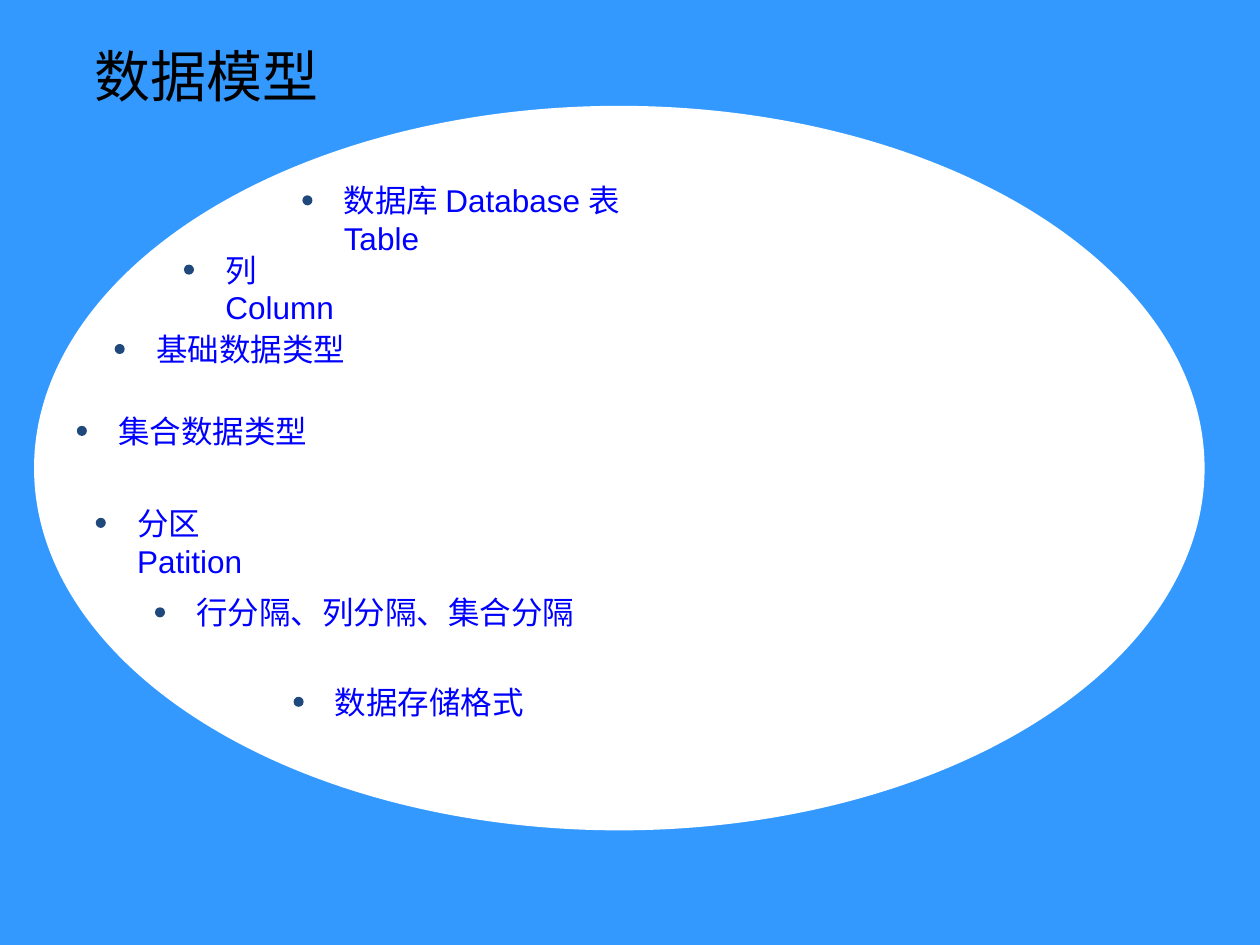
from pptx import Presentation
from pptx.dml.color import RGBColor
from pptx.enum import shapes, text
from pptx.util import Inches, Pt

# Content: wording, dot left, dot top, text width
TITLE = "数据模型"
TOPICS = [
    ("数据库 Database 表\vTable", 2.40, 1.55, 3.08),
    ("列\vColumn", 1.46, 2.10, 1.38),
    ("基础数据类型", 0.91, 2.73, 1.70),
    ("集合数据类型", 0.61, 3.38, 1.70),
    ("分区\vPatition", 0.76, 4.11, 1.60),
    ("行分隔、列分隔、集合分隔", 1.23, 4.82, 3.20),
    ("数据存储格式", 2.33, 5.53, 1.70),
]
THEME = {
    "back": "3399FF", "oval": "FFFFFF", "dot": "1F497D",
    "title": {"size": 32, "font": "Calibri", "color": "000000"},
    "topic": {"size": 18, "font": "Arial", "color": "0000FF"},
}
DOT = 0.08
GAP = 0.23    # dot left to text left
RISE = 0.16   # text top to dot top


def write(shape, words, size, font, color, align=text.PP_ALIGN.LEFT,
          anchor=text.MSO_ANCHOR.TOP):
    frame = shape.text_frame
    frame.word_wrap = True
    frame.auto_size = text.MSO_AUTO_SIZE.NONE
    frame.vertical_anchor = anchor
    frame.margin_right = 0 if align == text.PP_ALIGN.LEFT else Inches(0.1)
    frame.text = words
    para = frame.paragraphs[0]
    para.alignment = align
    for run in para.runs:
        run.font.size = Pt(size)
        run.font.name = font
        run.font.color.rgb = RGBColor.from_string(color)


def add_oval(slide, left, top, width, height, color):
    oval = slide.shapes.add_shape(
        shapes.MSO_SHAPE.OVAL, *map(Inches, (left, top, width, height)))
    oval.shadow.inherit = False
    oval.fill.solid()
    oval.fill.fore_color.rgb = RGBColor.from_string(color)
    oval.line.fill.background()


# Slide and background
deck = Presentation()
deck.slide_width, deck.slide_height = Inches(10), Inches(7.5)
slide = deck.slides.add_slide(deck.slide_layouts[5])
fill = slide.background.fill
fill.solid()
fill.fore_color.rgb = RGBColor.from_string(THEME["back"])
add_oval(slide, 0.27, 0.84, 9.29, 5.75, THEME["oval"])

# Title
title = slide.shapes.title
title.left, title.top = Inches(0.51), Inches(0.28)
title.width, title.height = Inches(2.26), Inches(0.63)
write(title, TITLE, **THEME["title"], align=text.PP_ALIGN.CENTER,
      anchor=text.MSO_ANCHOR.MIDDLE)

# Topics along the oval's edge
for words, left, top, width in TOPICS:
    add_oval(slide, left, top, DOT, DOT, THEME["dot"])
    box = slide.shapes.add_textbox(
        Inches(left + GAP), Inches(top - RISE), Inches(width), Inches(0.4))
    write(box, words, **THEME["topic"])

deck.save("out.pptx")
